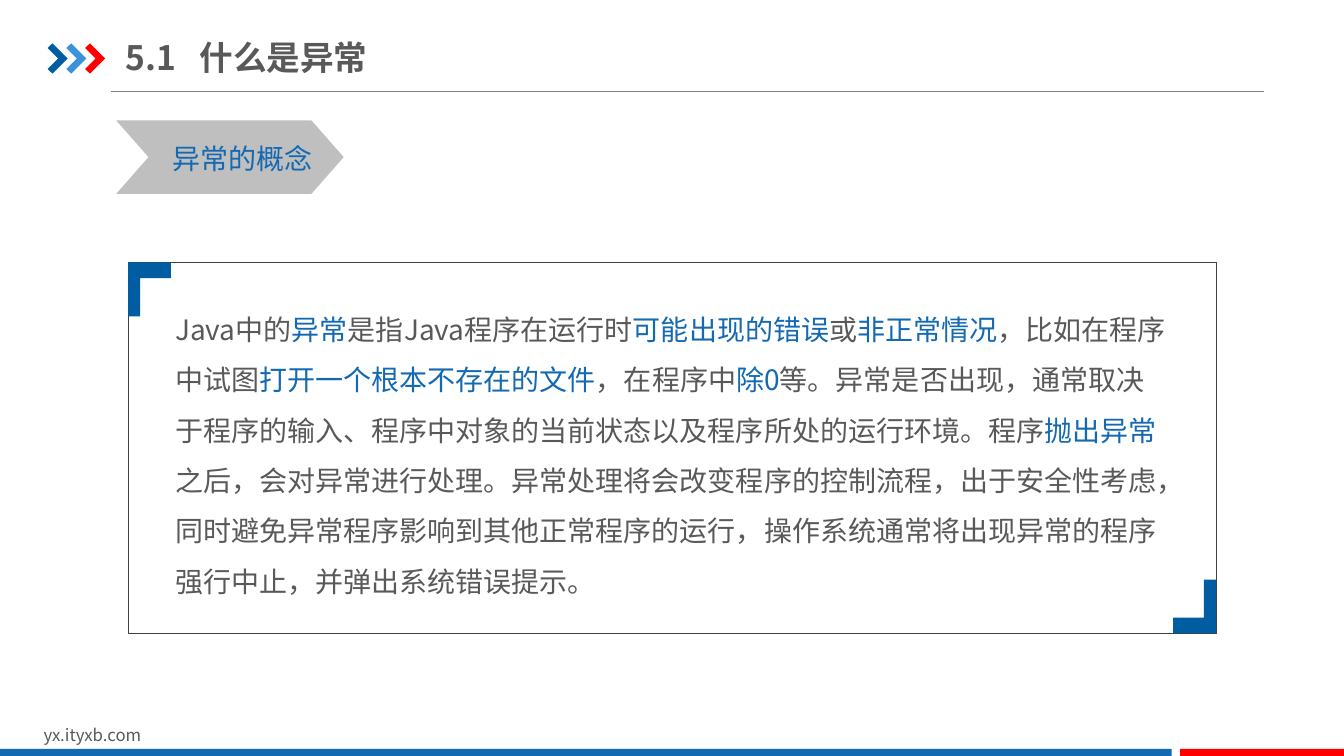
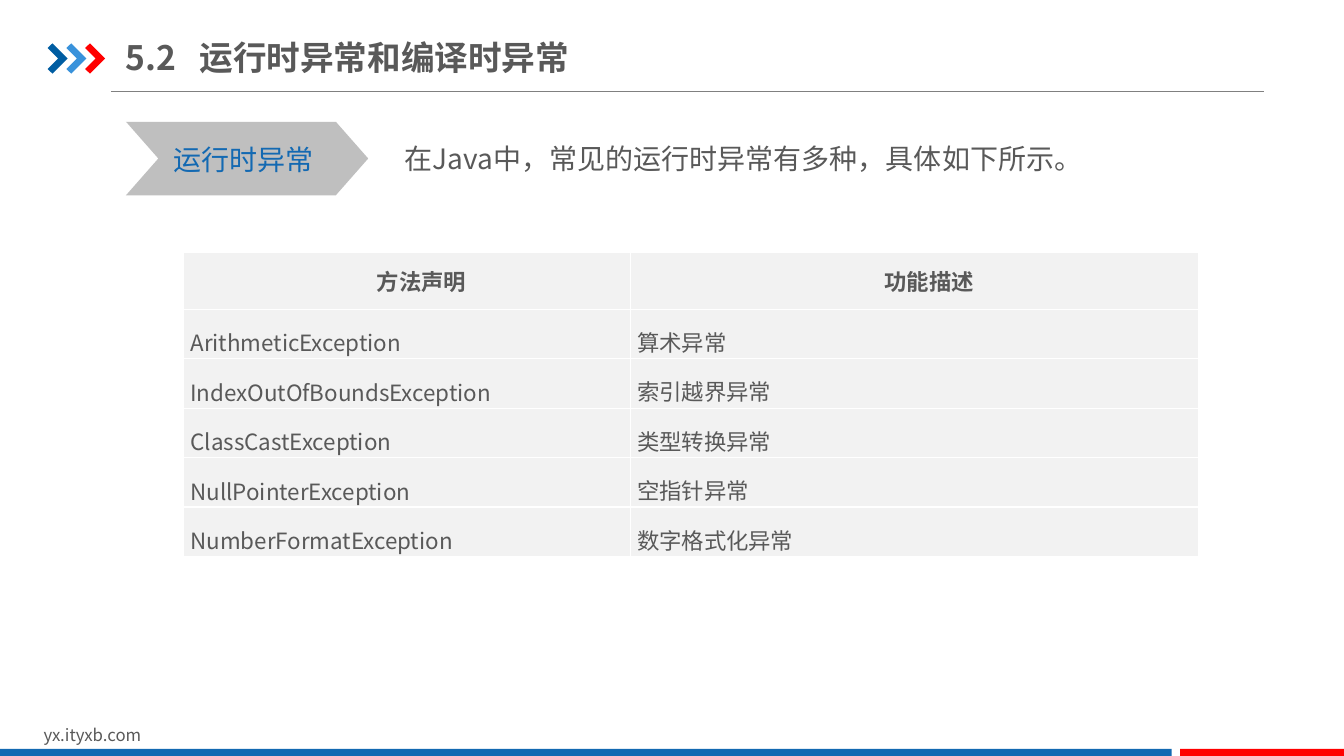
from dataclasses import dataclass

from lxml.etree import SubElement
from pptx import Presentation
from pptx.dml.color import RGBColor
from pptx.enum.shapes import MSO_CONNECTOR, MSO_SHAPE
from pptx.enum.text import MSO_ANCHOR, PP_ALIGN
from pptx.oxml.ns import qn
from pptx.util import Pt


@dataclass(frozen=True)
class Theme:
    font: str = "Noto Sans CJK SC"
    text: str = "595959"
    blue: str = "1369B2"
    deep_blue: str = "005DA2"
    light_blue: str = "3992DB"
    red: str = "FF0000"
    rule: str = "808080"
    frame: str = "404040"
    tag: str = "BFBFBF"
    cell: str = "F2F2F2"
    white: str = "FFFFFF"
    title_size: int = 24
    body_size: int = 20
    table_size: int = 16
    footer_size: int = 12


THEME = Theme()
SLIDE_WIDTH, SLIDE_HEIGHT = 960, 540
LINE_SPACING = 1.5

CHEVRON = [(0, 3.3), (3.5, 0), (14.3, 10.8), (3.5, 21.6), (0, 18.3), (7.5, 10.8)]
BRACKET = [(0, 0), (30.5, 0), (30.5, 11.2), (8.6, 11.2), (8.6, 38.5), (0, 38.5)]

# Text between bars is highlighted.
CONCEPT = (
    "Java中的|异常|是指Java程序在运行时|可能出现的错误|或|非正常情况|，比如在程序中试图"
    "|打开一个根本不存在的文件|，在程序中|除0|等。异常是否出现，通常取决于程序的输入、"
    "程序中对象的当前状态以及程序所处的运行环境。程序|抛出异常|之后，会对异常进行处理。"
    "异常处理将会改变程序的控制流程，出于安全性考虑，同时避免异常程序影响到其他正常程序的运行，"
    "操作系统通常将出现异常的程序强行中止，并弹出系统错误提示。"
)
EXCEPTIONS = [
    ("方法声明", "功能描述"),
    ("ArithmeticException", "算术异常"),
    ("IndexOutOfBoundsException", "索引越界异常"),
    ("ClassCastException", "类型转换异常"),
    ("NullPointerException", "空指针异常"),
    ("NumberFormatException", "数字格式化异常"),
]


def color(code):
    return RGBColor.from_string(code)


def points(*values):
    return [Pt(value) for value in values]


def paint(shape, fill):
    """Give a shape a flat fill without outline or shadow."""
    shape.shadow.inherit = False
    shape.fill.solid()
    shape.fill.fore_color.rgb = color(fill)
    shape.line.fill.background()


def style_paragraph(para, size, tint=THEME.text, bold=False):
    font = para.font
    font.size, font.bold, font.name = Pt(size), bold, THEME.font
    font.color.rgb = color(tint)
    SubElement(font._element, qn("a:ea"), typeface=THEME.font)


def add_text(page, text, area, size, tint=THEME.text, bold=False, spacing=None, wrap=True):
    """Add a text box; text between bars is highlighted."""
    frame = page.shapes.add_textbox(*points(*area)).text_frame
    frame.word_wrap = wrap
    para = frame.paragraphs[0]
    for index, part in enumerate(text.split("|")):
        span = para.add_run()
        span.text = part
        if index % 2:
            span.font.color.rgb = color(THEME.blue)
    if spacing:
        para.line_spacing = spacing
    style_paragraph(para, size, tint, bold)
    return frame


def add_block(page, kind, area, fill):
    shape = page.shapes.add_shape(kind, *points(*area))
    paint(shape, fill)
    return shape


def add_outline(page, corners, left, top, fill, direction=1):
    """Draw an outline from its origin; direction -1 turns it by 180 degrees."""
    vertices = [points(left + direction * x, top + direction * y) for x, y in corners]
    builder = page.shapes.build_freeform(*vertices[0])
    builder.add_line_segments(vertices[1:], close=True)
    paint(builder.convert_to_shape(), fill)


def add_title(page, number, title):
    frame = add_text(page, "", (90, 21, 500, 39.6), THEME.title_size, bold=True)
    frame.margin_left = frame.margin_right = 0
    frame.vertical_anchor = MSO_ANCHOR.MIDDLE
    para = frame.paragraphs[0]
    para.runs[0].text = f"{number}\t{title}"
    tabs = para._p.get_or_add_pPr().makeelement(qn("a:tabLst"))
    SubElement(tabs, qn("a:tab"), pos=str(Pt(52.5)), algn="l")
    para._p.pPr.insert(0, tabs)


def add_page(deck, number, title):
    """Add a page with the shared heading and footer."""
    page = deck.slides.add_slide(deck.slide_layouts[6])
    rule = page.shapes.add_connector(MSO_CONNECTOR.STRAIGHT, *points(79.2, 65.5, 903, 65.5))
    rule.line.color.rgb = color(THEME.rule)
    rule.line.width = Pt(0.75)
    SubElement(rule._element.spPr, qn("a:effectLst"))
    for index, fill in enumerate((THEME.deep_blue, THEME.light_blue, THEME.red)):
        add_outline(page, CHEVRON, 34 + 13.4 * index, 31, fill)
    add_text(page, "yx.ityxb.com", (24, 514, 229, 21.8), THEME.footer_size)
    add_block(page, MSO_SHAPE.RECTANGLE, (0, 535, 837, 6), THEME.blue)
    add_block(page, MSO_SHAPE.RECTANGLE, (843, 535, 117, 6), THEME.red)
    add_title(page, number, title)
    return page


def add_tag(page, text, left, top, width, text_left):
    chevron = add_block(page, MSO_SHAPE.CHEVRON, (left, top, width, 52.5), THEME.tag)
    chevron.adjustments[0] = 0.44
    add_text(page, text, (text_left, top + 11.2, 114.5, 31.5), THEME.body_size,
             THEME.blue, wrap=False)


def add_framed_text(page, text):
    left, top, width, height = 91.5, 187.5, 777, 265
    add_text(page, text, (118, 207.5, 726, 225.5), THEME.body_size, spacing=LINE_SPACING)
    panel = page.shapes.add_shape(MSO_SHAPE.RECTANGLE, *points(left, top, width, height))
    panel.shadow.inherit = False
    panel.fill.background()
    panel.line.color.rgb = color(THEME.frame)
    panel.line.width = Pt(0.25)
    add_outline(page, BRACKET, left, top, THEME.deep_blue)
    add_outline(page, BRACKET, left + width, top + height, THEME.deep_blue, -1)


def style_cell(cell):
    cell.margin_left = cell.margin_right = Pt(4.9)
    cell.margin_top = cell.margin_bottom = 0
    properties = cell._tc.get_or_add_tcPr()
    for side in ("lnL", "lnR", "lnT", "lnB"):
        border = SubElement(properties, qn(f"a:{side}"), w=str(Pt(1)))
        SubElement(SubElement(border, qn("a:solidFill")), qn("a:srgbClr"), val=THEME.white)
    cell.fill.solid()
    cell.fill.fore_color.rgb = color(THEME.cell)


def add_table(page, rows, left, top, widths, header_height, row_height):
    height = header_height + row_height * (len(rows) - 1)
    area = points(left, top, sum(widths), height)
    table = page.shapes.add_table(len(rows), len(widths), *area).table
    table.first_row = table.horz_banding = False
    for column, width in zip(table.columns, widths):
        column.width = Pt(width)
    for row_index, texts in enumerate(rows):
        header = row_index == 0
        table.rows[row_index].height = Pt(header_height if header else row_height)
        for column_index, text in enumerate(texts):
            cell = table.cell(row_index, column_index)
            style_cell(cell)
            cell.text = text
            para = cell.text_frame.paragraphs[0]
            if header or column_index == 0:
                cell.vertical_anchor = MSO_ANCHOR.MIDDLE
            if header:
                para.alignment = PP_ALIGN.CENTER
                para._p.get_or_add_pPr().set("indent", str(Pt(21)))
            else:
                para.line_spacing = LINE_SPACING
            style_paragraph(para, THEME.table_size, bold=header)


def build_concept(deck):
    page = add_page(deck, "5.1", "什么是异常")
    add_tag(page, "异常的概念", 83, 86, 162.5, 115.8)
    add_framed_text(page, CONCEPT)


def build_runtime_exceptions(deck):
    page = add_page(deck, "5.2", "运行时异常和编译时异常")
    add_tag(page, "运行时异常", 90, 87, 173, 117)
    add_text(page, "在Java中，常见的运行时异常有多种，具体如下所示。",
             (282, 85.5, 590, 43), THEME.body_size, spacing=LINE_SPACING)
    add_table(page, EXCEPTIONS, 131.2, 180, (319, 406), 41, 35.3)


def main():
    deck = Presentation()
    deck.slide_width, deck.slide_height = points(SLIDE_WIDTH, SLIDE_HEIGHT)
    build_concept(deck)
    build_runtime_exceptions(deck)
    deck.save("out.pptx")


if __name__ == "__main__":
    main()
